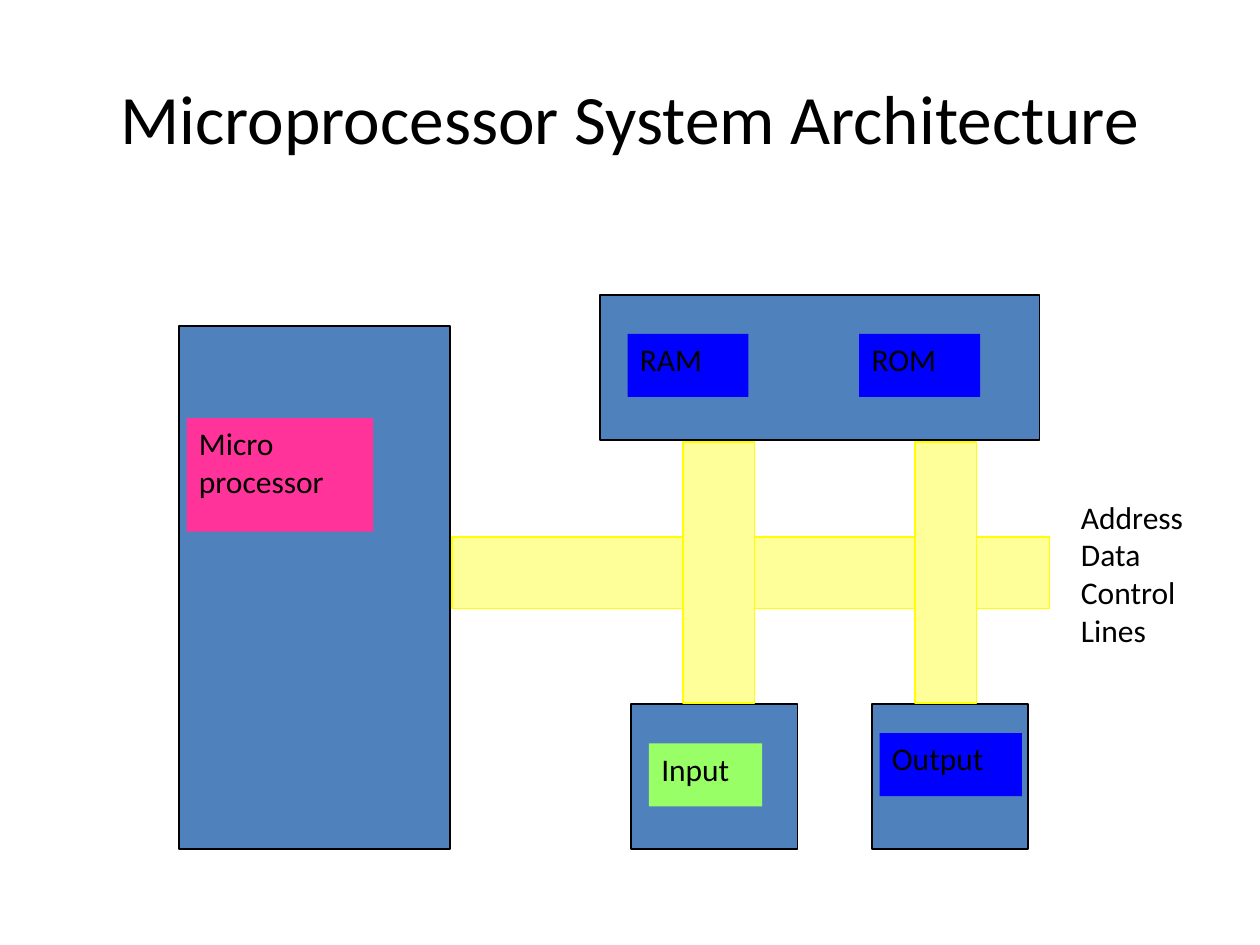
from typing import NamedTuple

from pptx import Presentation
from pptx import util as u
from pptx.dml.color import RGBColor
from pptx.enum import shapes, text

FONT = "Calibri"
BLACK, STEEL, BLUE = "000000", "4F81BD", "0000FF"
PINK, GREEN = "FF3399", "99FF66"
PALE_YELLOW, YELLOW = "FFFF99", "FFFF00"


class Box(NamedTuple):
    """A rectangle in points, with optional outline and lines of text."""
    left: float
    top: float
    width: float
    height: float
    fill: str
    line: str | None = None
    lines: tuple[str, ...] = ()


def color(value: str) -> RGBColor:
    return RGBColor.from_string(value)


def write_lines(shape, lines: tuple[str, ...], size: float = 18,
                align=text.PP_ALIGN.LEFT, anchor=text.MSO_ANCHOR.TOP) -> None:
    frame = shape.text_frame
    frame.word_wrap = True
    frame.vertical_anchor = anchor
    frame.text = "\n".join(lines)
    for paragraph in frame.paragraphs:
        paragraph.alignment = align
        paragraph.font.name = FONT
        paragraph.font.size = u.Pt(size)
        paragraph.font.color.rgb = color(BLACK)


def add_box(slide, box: Box) -> None:
    shape = slide.shapes.add_shape(
        shapes.MSO_SHAPE.RECTANGLE, u.Pt(box.left), u.Pt(box.top),
        u.Pt(box.width), u.Pt(box.height))
    shape.shadow.inherit = False
    shape.fill.solid()
    shape.fill.fore_color.rgb = color(box.fill)
    if box.line:
        shape.line.color.rgb = color(box.line)
        shape.line.width = u.Pt(1)
    else:
        shape.line.fill.background()
    if box.lines:
        write_lines(shape, box.lines)


def add_text(slide, left: float, top: float, width: float, height: float,
             lines: tuple[str, ...], **style) -> None:
    shape = slide.shapes.add_textbox(u.Pt(left), u.Pt(top), u.Pt(width), u.Pt(height))
    write_lines(shape, lines, **style)


# Rows shared by the blocks
MEMORY_LABEL_TOP, PORT_TOP = 190.8, 402.5
BLOCK_HEIGHT, LABEL_HEIGHT = 82.8, 36
BUS_TOP, BUS_HEIGHT, BUS_THICKNESS = 252.7, 149, 41

BLOCKS = (
    # Microprocessor
    Box(102.2, 186.5, 154.8, 298.8, STEEL, BLACK),
    Box(106.6, 239, 106.6, 64.8, PINK, lines=("Micro", "processor")),
    # Memory
    Box(342.7, 168.5, 251.3, BLOCK_HEIGHT, STEEL, BLACK),
    Box(358.6, MEMORY_LABEL_TOP, 69.1, LABEL_HEIGHT, BLUE, lines=("RAM",)),
    Box(491, MEMORY_LABEL_TOP, 69.1, LABEL_HEIGHT, BLUE, lines=("ROM",)),
    # Input and output
    Box(360.7, PORT_TOP, 95, BLOCK_HEIGHT, STEEL, BLACK),
    Box(370.8, 424.8, 64.8, LABEL_HEIGHT, GREEN, lines=("Input",)),
    Box(498.2, PORT_TOP, 89.3, BLOCK_HEIGHT, STEEL, BLACK),
    Box(502.6, 419, 81.4, LABEL_HEIGHT, BLUE, lines=("Output",)),
)
BUSES = (
    Box(258.5, 306.7, 341.3, BUS_THICKNESS, PALE_YELLOW, YELLOW),
    Box(390.2, BUS_TOP, BUS_THICKNESS, BUS_HEIGHT, PALE_YELLOW, YELLOW),
    Box(522.7, BUS_TOP, 35.3, BUS_HEIGHT, PALE_YELLOW, YELLOW),
)


def main() -> None:
    presentation = Presentation()
    presentation.slide_width, presentation.slide_height = u.Pt(720), u.Pt(540)
    slide = presentation.slides.add_slide(presentation.slide_layouts[6])

    # Title
    add_text(slide, 36, 21.6, 648, 90, ("Microprocessor System Architecture",),
             size=39.6, align=text.PP_ALIGN.CENTER, anchor=text.MSO_ANCHOR.MIDDLE)

    # Diagram, with the buses in front
    for box in BLOCKS + BUSES:
        add_box(slide, box)

    # Bus caption
    add_text(slide, 610.6, 280.8, 92.9, 122.4, ("Address", "Data", "Control", "Lines"))

    presentation.save("out.pptx")


if __name__ == "__main__":
    main()
